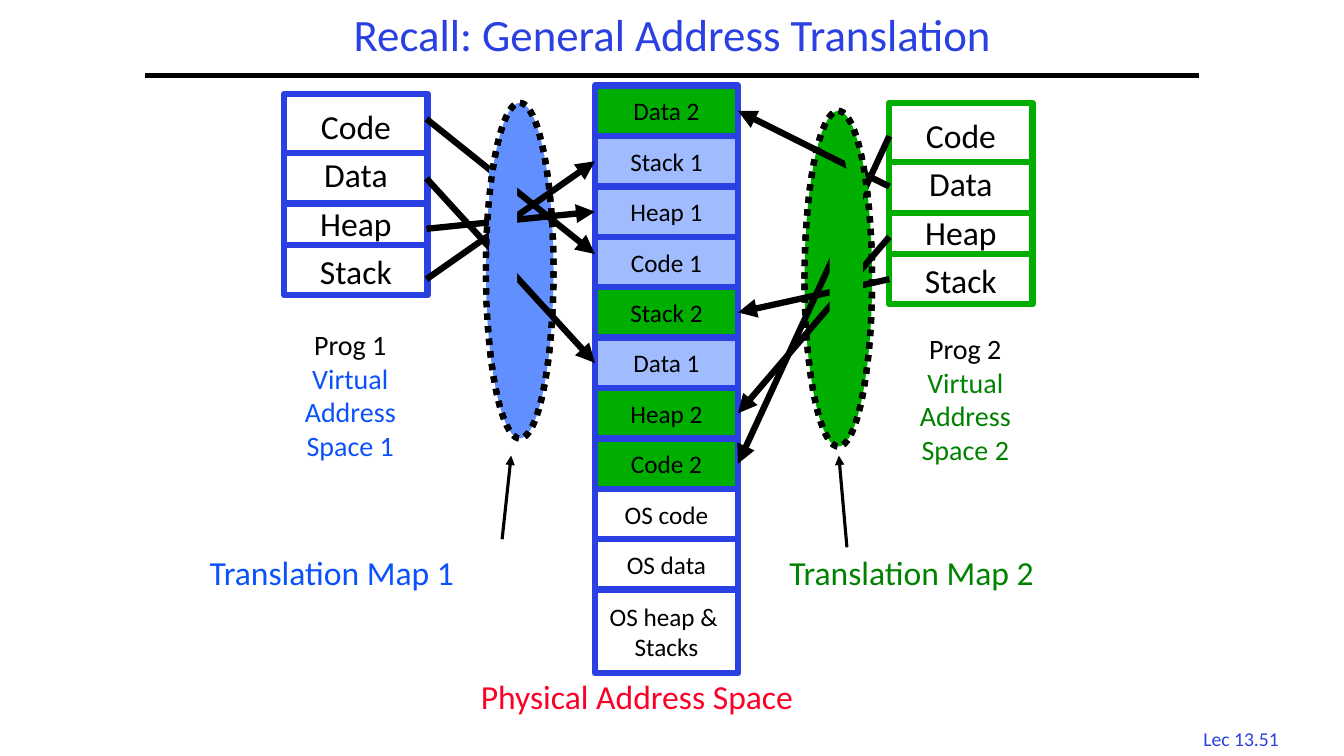
from dataclasses import dataclass
from typing import Optional

from lxml import etree
from pptx import Presentation
from pptx import util as u
from pptx.dml import color
from pptx.enum import dml, shapes, text
from pptx.oxml import ns

BLACK, WHITE = "000000", "FFFFFF"
BLUE, GREEN, RED = "2A40E2", "00AE00", "FC0128"
SKY, PALE = "618FFD", "A0BCFE"
INK_ONE, INK_TWO = "0B52FC", "008200"
WIDE, STEP = 1.42, 0.5
MID_LEFT, MID_TOP = 5.9, 0.85


@dataclass
class Box:
    left: float
    top: float
    width: float
    height: float
    turn: float = 0


@dataclass
class Arrow:
    start: float
    cell: str
    end: Optional[float] = None


@dataclass
class Program:
    number: int
    box: Box
    edge: str
    ink: str
    label: Box
    map_box: Box
    map_fill: str
    map_label: Box
    covers: list[Box]
    from_x: float
    to_x: float
    side: int
    arrows: list[Arrow]
    hint: tuple[float, float, float, float]


PROGRAMS = [
    Program(1, Box(2.82, 0.93, WIDE, 2), BLUE, INK_ONE, Box(2.86, 3.2, 1.23, 1.45),
            Box(4.82, 1.02, 0.67, 3.33), SKY, Box(1.98, 5.43, 2.89, 0.5),
            [Box(4.85, 1.67, 0.28, 1.5)], 4.23, MID_LEFT, 1,
            [Arrow(1.18, "Code 1", 2.52), Arrow(1.77, "Data 1"),
             Arrow(2.27, "Heap 1"), Arrow(2.77, "Stack 1")],
            (4.98, 5.35, 5.07, 4.52)),
    Program(2, Box(8.82, 1.02, WIDE, 2), GREEN, INK_TWO, Box(8.96, 3.24, 1.23, 1.45),
            Box(7.98, 1.1, 0.67, 3.33), GREEN, Box(7.73, 5.43, 2.89, 0.5),
            [Box(8.23, 1.85, 0.33, 1.58), Box(8.4, 1.43, 0.17, 0.5, -11.5)],
            8.82, MID_LEFT + WIDE, 3,
            [Arrow(1.35, "Code 2"), Arrow(1.85, "Data 2"),
             Arrow(2.35, "Heap 2"), Arrow(2.77, "Stack 2")],
            (8.4, 5.43, 8.32, 4.52)),
]
PARTS = ["Code", "Data", "Heap", "Stack"]
CUTS = [0.59, 1.09, 1.5]
CELLS = [("Data 2", GREEN), ("Stack 1", PALE), ("Heap 1", PALE), ("Code 1", PALE),
         ("Stack 2", GREEN), ("Data 1", PALE), ("Heap 2", GREEN), ("Code 2", GREEN),
         ("OS code", WHITE), ("OS data", WHITE)]


def rgb(code: str) -> color.RGBColor:
    return color.RGBColor.from_string(code)


def place(box: Box) -> list[int]:
    return [u.Inches(n) for n in (box.left, box.top, box.width, box.height)]


def write(shape, lines: list[tuple[str, str]], size: float,
          align=text.PP_ALIGN.CENTER, anchor=text.MSO_ANCHOR.MIDDLE,
          space: float = 1) -> None:
    frame = shape.text_frame
    frame.word_wrap = True
    frame.auto_size = text.MSO_AUTO_SIZE.NONE
    frame.vertical_anchor = anchor
    for i, (words, ink) in enumerate(lines):
        para = frame.paragraphs[0] if i == 0 else frame.add_paragraph()
        para.alignment = align
        para.line_spacing = space
        run = para.add_run()
        run.text = words
        run.font.name = "Calibri"
        run.font.size = u.Pt(size)
        run.font.color.rgb = rgb(ink)


def add_text(slide, box: Box, lines: list[tuple[str, str]], size: float,
             align=text.PP_ALIGN.CENTER) -> None:
    write(slide.shapes.add_textbox(*place(box)), lines, size, align,
          text.MSO_ANCHOR.TOP)


def add_form(slide, kind, box: Box, fill: Optional[str] = None,
             edge: Optional[str] = None, dots: bool = False):
    form = slide.shapes.add_shape(kind, *place(box))
    form.shadow.inherit = False
    form.rotation = box.turn
    if fill:
        form.fill.solid()
        form.fill.fore_color.rgb = rgb(fill)
    else:
        form.fill.background()
    if edge:
        form.line.color.rgb = rgb(edge)
        form.line.width = u.Pt(4.5)
        if dots:
            form.line.dash_style = dml.MSO_LINE.ROUND_DOT
    else:
        form.line.fill.background()
    return form


def add_line(slide, x1: float, y1: float, x2: float, y2: float,
             ink: str = BLACK, weight: float = 4.5, head: bool = False):
    line = slide.shapes.add_connector(
        shapes.MSO_CONNECTOR.STRAIGHT, *[u.Inches(n) for n in (x1, y1, x2, y2)])
    line.line.color.rgb = rgb(ink)
    line.line.width = u.Pt(weight)
    props = line.element.spPr
    if head:
        etree.SubElement(props.find(ns.qn("a:ln")), ns.qn("a:tailEnd"), type="triangle")
    etree.SubElement(props, ns.qn("a:effectLst"))
    return line


def add_cells(slide) -> dict:
    rows = [([name], fill, STEP) for name, fill in CELLS]
    rows.append((["OS heap & ", "Stacks"], WHITE, 0.83))
    cells = {}
    for i, (words, fill, height) in enumerate(rows):
        box = Box(MID_LEFT, MID_TOP + i * STEP, WIDE, height)
        cell = add_form(slide, shapes.MSO_SHAPE.RECTANGLE, box, fill, BLUE)
        write(cell, [(word, BLACK) for word in words], 18)
        cells[words[0]] = cell
    return cells


def add_program(slide, prog: Program) -> None:
    lines = [(f"Prog {prog.number}", BLACK), ("Virtual", prog.ink),
             ("Address", prog.ink), (f"Space {prog.number}", prog.ink)]
    add_text(slide, prog.label, lines, 20)
    box = prog.box
    frame = add_form(slide, shapes.MSO_SHAPE.RECTANGLE, box, WHITE, prog.edge)
    write(frame, [(part, BLACK) for part in PARTS], 24, space=1.2)
    for cut in CUTS:
        y = box.top + cut
        add_line(slide, box.left, y, box.left + box.width, y, prog.edge)


def add_arrows(slide, prog: Program, cells: dict) -> None:
    for arrow in prog.arrows:
        line = add_line(slide, prog.from_x, arrow.start, prog.to_x,
                        arrow.end or arrow.start, head=True)
        if arrow.end is None:
            line.end_connect(cells[arrow.cell], prog.side)


def add_map(slide, prog: Program) -> None:
    for cover in prog.covers:
        add_form(slide, shapes.MSO_SHAPE.RECTANGLE, cover, prog.map_fill)
    add_form(slide, shapes.MSO_SHAPE.OVAL, prog.map_box, None, BLACK, True)
    add_text(slide, prog.map_label, [(f"Translation Map {prog.number}", prog.ink)],
             24, text.PP_ALIGN.LEFT)
    add_line(slide, *prog.hint, weight=2.25, head=True)


def main() -> None:
    deck = Presentation()
    deck.slide_width, deck.slide_height = u.Inches(13.33), u.Inches(7.5)
    slide = deck.slides.add_slide(deck.slide_layouts[5])
    title = slide.shapes.title
    title.left, title.top, title.width, title.height = place(Box(1.67, 0.08, 10, 0.58))
    write(title, [("Recall: General Address Translation", BLUE)], 32, space=0.9)
    add_text(slide, Box(11.77, 7.16, 1.08, 0.33), [("Lec 13.51", BLUE)], 14)
    add_line(slide, 1.44, 0.75, 11.89, 0.75, weight=3)
    for prog in PROGRAMS:
        add_form(slide, shapes.MSO_SHAPE.OVAL, prog.map_box, prog.map_fill, BLACK, True)
        add_program(slide, prog)
    cells = add_cells(slide)
    for prog in PROGRAMS:
        add_arrows(slide, prog, cells)
        add_map(slide, prog)
    add_text(slide, Box(4.67, 6.66, 3.82, 0.5), [("Physical Address Space", RED)],
             24, text.PP_ALIGN.LEFT)
    deck.save("out.pptx")


if __name__ == "__main__":
    main()
